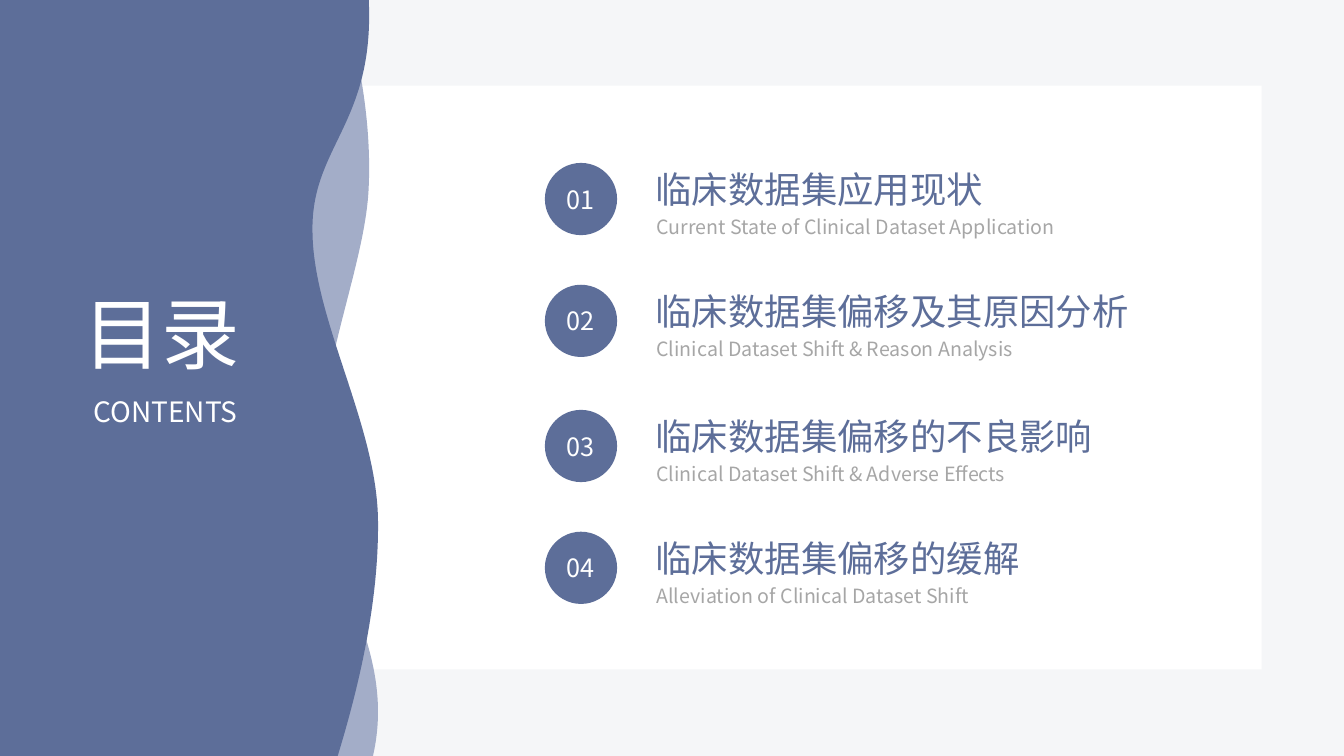
import pptx
import pptx.dml.color
import pptx.enum.shapes
import pptx.enum.text
import pptx.util
from lxml import etree
from pptx.oxml.ns import qn

COLOURS = {"page": "F5F6F8", "card": "FFFFFF", "navy": "5D6E99",
           "mist": "A3ADC8", "grey": "A6A6A6", "white": "FFFFFF"}
FONT = "Noto Sans CJK SC"
ALIGN = pptx.enum.text.PP_ALIGN
ANCHOR = pptx.enum.text.MSO_ANCHOR
SHAPES = pptx.enum.shapes.MSO_SHAPE

# The page is a grid of 160 columns by 90 rows of square cells
COLUMNS, ROWS = 160, 90
CELL = pptx.util.Inches(1) // 12


def paint(shape, colour):
    shape.shadow.inherit = False
    shape.fill.solid()
    shape.fill.fore_color.rgb = pptx.dml.color.RGBColor.from_string(COLOURS[colour])
    shape.line.fill.background()


def write(box, text, size, colour, align=ALIGN.LEFT, anchor=ANCHOR.TOP, wrap=True):
    frame = box.text_frame
    frame_format = {"word_wrap": wrap, "vertical_anchor": anchor,
                    "auto_size": pptx.enum.text.MSO_AUTO_SIZE.NONE}
    for name, value in frame_format.items():
        setattr(frame, name, value)
    para = frame.paragraphs[0]
    para.alignment = align
    span = para.add_run()
    span.text = text
    span.font.color.rgb = pptx.dml.color.RGBColor.from_string(COLOURS[colour])
    for name, value in {"size": pptx.util.Pt(size), "name": FONT}.items():
        setattr(span.font, name, value)
    # East Asian characters take their own typeface entry
    etree.SubElement(span.font._element, qn("a:ea"), typeface=FONT)


deck = pptx.Presentation()
deck.slide_width, deck.slide_height = COLUMNS * CELL, ROWS * CELL
page = deck.slides.add_slide(deck.slide_layouts[5])
page.background.fill.solid()
page.background.fill.fore_color.rgb = pptx.dml.color.RGBColor.from_string(COLOURS["page"])

# White card
card = page.shapes.add_shape(
    SHAPES.RECTANGLE, *(round(cells * CELL) for cells in (10.2, 10.2, 140, 69.5)))
paint(card, "card")

# Wavy side panel: left edge, colour, start of the wave, then Bezier curves
waves = [
    (34, "mist", (40.3, 0), [
        ((41.9, 2.9), (44.3, 12.7), (43.9, 22.1)),
        ((43.6, 31.4), (37.8, 43.7), (38, 55.9)),
        ((38.2, 68), (47.4, 76.9), (44.4, 90))]),
    (0, "navy", (43.9, 0), [
        ((44.6, 14.8), (37, 17.4), (37.2, 27.6)),
        ((37.3, 38.2), (44.9, 50.6), (45, 62)),
        ((45.1, 70.7), (43.2, 80.2), (40.2, 90))]),
]
for left, colour, start, curves in waves:
    corners = [start, *(curve[-1] for curve in curves), (left, ROWS)]
    builder = page.shapes.build_freeform(left * CELL, 0)
    builder.add_line_segments([(x * CELL, y * CELL) for x, y in corners])
    wave = builder.convert_to_shape()
    paint(wave, colour)
    # Bend the lines between the wave's corners
    lines = list(wave.element.iter(qn("a:lnTo")))[1:-1]
    for line, curve in zip(lines, curves):
        bend = etree.Element(qn("a:cubicBezTo"))
        for x, y in curve:
            etree.SubElement(bend, qn("a:pt"), x=str(round((x - left) * CELL)),
                             y=str(round(y * CELL)))
        line.getparent().replace(line, bend)

# Agenda entries: row of the circle, heading, translation
entries = [
    (19.4, "临床数据集应用现状", "Current State of Clinical Dataset Application"),
    (33.9, "临床数据集偏移及其原因分析", "Clinical Dataset Shift & Reason Analysis"),
    (48.8, "临床数据集偏移的不良影响", "Clinical Dataset Shift & Adverse Effects"),
    (63.3, "临床数据集偏移的缓解", "Alleviation of Clinical Dataset Shift"),
]
for number, (row, heading, translation) in enumerate(entries, 1):
    circle = page.shapes.add_shape(
        SHAPES.OVAL, *(round(cells * CELL) for cells in (64.87, row, 8.6, 8.6)))
    paint(circle, "navy")
    write(circle, f"{number:02}", 18, "white", ALIGN.CENTER, ANCHOR.MIDDLE, wrap=False)
    labels = [(76.85, row - 0.1, 61.5, 6.4, heading, 26, "navy"),
              (76.97, row + 5.57, 61.5, 4, translation, 14, "grey")]
    for *place, text, size, colour in labels:
        box = page.shapes.add_textbox(*(round(cells * CELL) for cells in place))
        write(box, text, size, colour)

# Panel caption
caption = page.shapes.add_textbox(
    *(round(cells * CELL) for cells in (7.15, 46.37, 25.1, 5.2)))
write(caption, "CONTENTS", 20, "white", ALIGN.CENTER)

# Title, brought in front of the panel
title = page.shapes.title
title_place = {"left": 6.25, "top": 33.3, "width": 26, "height": 12.4}
for name, cells in title_place.items():
    setattr(title, name, round(cells * CELL))
write(title, "目录", 56, "white", ALIGN.CENTER)
title.element.getparent().append(title.element)

deck.save("out.pptx")
